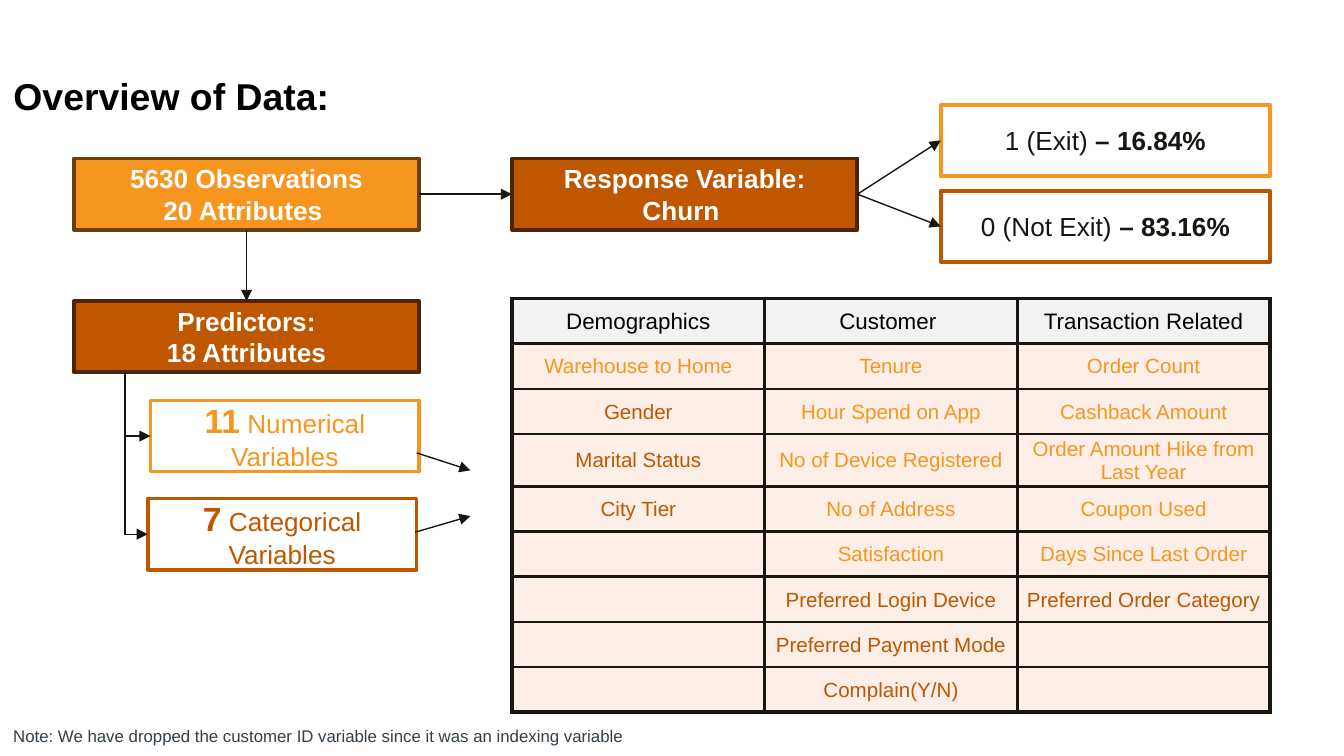
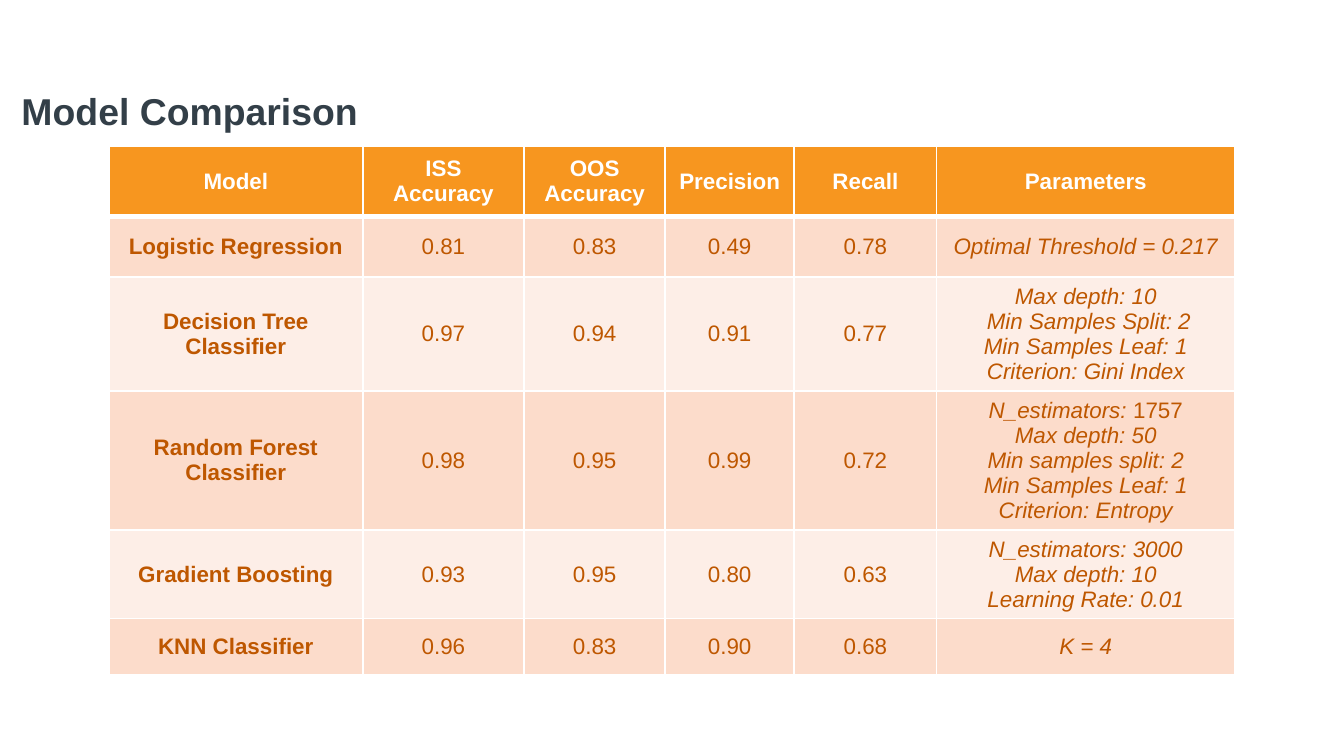
from lxml import etree
from pptx import Presentation
from pptx.dml.color import RGBColor
from pptx.enum.shapes import MSO_CONNECTOR, MSO_SHAPE
from pptx.enum.text import MSO_ANCHOR, MSO_AUTO_SIZE, PP_ALIGN
from pptx.oxml.ns import qn
from pptx.util import Inches, Pt

STRAIGHT, RECT = MSO_CONNECTOR.STRAIGHT, MSO_SHAPE.RECTANGLE
MIDDLE = MSO_ANCHOR.MIDDLE
NO_FIT = MSO_AUTO_SIZE.NONE
LEFT, CENTER = PP_ALIGN.LEFT, PP_ALIGN.CENTER
TOP_SIDE, LEFT_SIDE, BOTTOM_SIDE, RIGHT_SIDE = range(4)

BLACK = RGBColor(0x00, 0x00, 0x00)
WHITE = RGBColor(0xFF, 0xFF, 0xFF)
INK = RGBColor(0x18, 0x16, 0x10)
SLATE = RGBColor(0x33, 0x3F, 0x48)
ORANGE = RGBColor(0xF7, 0x96, 0x1F)
DARK_ORANGE = RGBColor(0x68, 0x3F, 0x0D)
RUST = RGBColor(0xBE, 0x57, 0x00)
DARK_RUST = RGBColor(0x50, 0x24, 0x00)
GREY = RGBColor(0xF2, 0xF2, 0xF2)
PEACH = RGBColor(0xFC, 0xDC, 0xCB)
PALE_PEACH = RGBColor(0xFD, 0xEE, 0xE7)

FONT = "Arial"
BOX_HEIGHT = 0.53

# header, numerical variables, categorical variables
VARIABLE_GROUPS = [
    ("Demographics", ["Warehouse to Home"],
     ["Gender", "Marital Status", "City Tier"]),
    ("Customer ",
     ["Tenure", "Hour Spend on App", "No of Device Registered",
      "No of Address", "Satisfaction"],
     ["Preferred Login Device", "Preferred Payment Mode", "Complain(Y/N)"]),
    ("Transaction Related",
     ["Order Count", "Cashback Amount", "Order Amount Hike from Last Year",
      "Coupon Used", "Days Since Last Order"],
     ["Preferred Order Category"]),
]

MODELS = [
    ("Model", "ISS Accuracy", "OOS Accuracy", "Precision", "Recall",
     "Parameters"),
    ("Logistic Regression", "0.81", "0.83", "0.49", "0.78",
     "Optimal Threshold = 0.217"),
    ("Decision Tree Classifier", "0.97", "0.94", "0.91", "0.77",
     "Max depth: 10\n Min Samples Split: 2\nMin Samples Leaf: 1\n"
     "Criterion: Gini Index"),
    ("Random Forest Classifier", "0.98", "0.95", "0.99", "0.72",
     "N_estimators: \nMax depth: 50\nMin samples split: 2\n"
     "Min Samples Leaf: 1\nCriterion: Entropy"),
    ("Gradient Boosting", "0.93", "0.95", "0.80", "0.63",
     "N_estimators: 3000\nMax depth: 10\nLearning Rate: 0.01"),
    ("KNN Classifier", "0.96", "0.83", "0.90", "0.68", "K = 4"),
]


def style_run(r, size, color, bold=False, italic=False):
    r.font.name = FONT
    r.font.size = Pt(size)
    r.font.color.rgb = color
    r.font.bold = bold
    r.font.italic = italic


def add_run(p, text, size, color, bold=False):
    r = p.add_run()
    r.text = text
    style_run(r, size, color, bold)


def write(tf, text, size, color, bold=False, italic=False, align=CENTER):
    tf.text = text
    for p in tf.paragraphs:
        p.alignment = align
        for r in p.runs:
            style_run(r, size, color, bold, italic)


class Deck:
    def __init__(self):
        self.prs = Presentation()
        self.prs.slide_width = Inches(10)
        self.prs.slide_height = Inches(10 * 9 / 16)
        self.slide = None

    def add_slide(self, title, left, top, width, height, color):
        self.slide = self.prs.slides.add_slide(self.prs.slide_layouts[5])
        sp = self.slide.shapes.title
        sp.left, sp.top = Inches(left), Inches(top)
        sp.width, sp.height = Inches(width), Inches(height)
        tf = sp.text_frame
        tf.auto_size = NO_FIT
        tf.vertical_anchor = MIDDLE
        write(tf, title, 20, color, bold=True, align=LEFT)

    def note(self, text, left, top, width, height):
        sp = self.slide.shapes.add_textbox(
            Inches(left), Inches(top), Inches(width), Inches(height))
        sp.text_frame.word_wrap = True
        write(sp.text_frame, text, 9, SLATE, align=LEFT)

    def box(self, text, left, top, width, fill, line, color=WHITE,
            size=14, bold=True):
        sp = self.slide.shapes.add_shape(
            RECT, Inches(left), Inches(top), Inches(width),
            Inches(BOX_HEIGHT))
        sp.shadow.inherit = False
        sp.fill.solid()
        sp.fill.fore_color.rgb = fill
        sp.line.color.rgb = line
        sp.line.width = Pt(2)
        sp.text_frame.word_wrap = True
        sp.text_frame.vertical_anchor = MIDDLE
        write(sp.text_frame, text, size, color, bold)
        return sp

    def connector(self, start, end, arrow=True):
        """Each end is an (x, y) point or a (shape, side) pair."""
        cxn = self.slide.shapes.add_connector(STRAIGHT, 0, 0, 0, 0)
        if isinstance(start[0], (int, float)):
            cxn.begin_x, cxn.begin_y = Inches(start[0]), Inches(start[1])
        else:
            cxn.begin_connect(*start)
        if isinstance(end[0], (int, float)):
            cxn.end_x, cxn.end_y = Inches(end[0]), Inches(end[1])
        else:
            cxn.end_connect(*end)
        cxn.line.color.rgb = INK
        cxn.line.width = Pt(0.75)
        if arrow:
            etree.SubElement(cxn.line._get_or_add_ln(), qn("a:tailEnd"),
                             type="triangle")
        etree.SubElement(cxn._element.spPr, qn("a:effectLst"))

    def table(self, left, top, widths, heights):
        tbl = self.slide.shapes.add_table(
            len(heights), len(widths), Inches(left), Inches(top),
            Inches(sum(widths)), Inches(sum(heights))).table
        tbl.horz_banding = False
        for col, width in zip(tbl.columns, widths):
            col.width = Inches(width)
        for row, height in zip(tbl.rows, heights):
            row.height = Inches(height)
        return tbl

    def cell(self, cell, text, fill, color, border, widths, size=12,
             bold=False, italic=False):
        """Border widths run left, right, top, bottom."""
        tcPr = cell._tc.get_or_add_tcPr()
        for side, width in zip("LRTB", widths):
            ln = etree.SubElement(tcPr, qn("a:ln" + side), w=str(Pt(width)))
            solid = etree.SubElement(ln, qn("a:solidFill"))
            etree.SubElement(solid, qn("a:srgbClr"), val=str(border))
        cell.fill.solid()
        cell.fill.fore_color.rgb = fill
        cell.vertical_anchor = MIDDLE
        write(cell.text_frame, text, size, color, bold, italic)


def variable_table(deck):
    tall_row = 0.39
    heights = [(3.08 - tall_row) / 8] * 9
    heights[3] = tall_row
    tbl = deck.table(3.81, 2.22, [1.88] * 3, heights)
    last_row, last_col = len(heights) - 1, len(VARIABLE_GROUPS) - 1
    for j, (header, numerical, categorical) in enumerate(VARIABLE_GROUPS):
        names = [header] + numerical + categorical
        names += [""] * (len(heights) - len(names))
        for i, name in enumerate(names):
            outer = (j == 0, j == last_col, i == 0, i == last_row)
            widths = [2.25 if edge else 1.5 for edge in outer]
            color = ORANGE if i <= len(numerical) else RUST
            cell = tbl.cell(i, j)
            cell.margin_left = cell.margin_right = Inches(0.01)
            cell.margin_top, cell.margin_bottom = Inches(0.01), 0
            if i == 0:
                deck.cell(cell, name, GREY, BLACK, INK, widths)
            else:
                deck.cell(cell, name, PALE_PEACH, color, INK, widths, 11)


def overview_slide(deck):
    deck.add_slide("Overview of Data:", 0, 0.49, 4.94, 0.44, BLACK)
    variable_table(deck)

    data = deck.box("5630 Observations\n20 Attributes ", 0.55, 1.18, 2.57,
                    ORANGE, DARK_ORANGE)
    response = deck.box("Response Variable: Churn ", 3.81, 1.18, 2.57,
                        RUST, DARK_RUST)
    predictors = deck.box("Predictors:\n18 Attributes", 0.55, 2.24, 2.57,
                          RUST, DARK_RUST)
    deck.connector((data, RIGHT_SIDE), (response, LEFT_SIDE))
    deck.connector((data, BOTTOM_SIDE), (predictors, TOP_SIDE))

    for label, share, top, line in (
            ("1 (Exit) ", "– 16.84%", 0.78, ORANGE),
            ("0 (Not Exit) ", "– 83.16%", 1.42, RUST)):
        outcome = deck.box(label, 7, top, 2.45, WHITE, line, INK, bold=False)
        add_run(outcome.text_frame.paragraphs[0], share, 14, INK, bold=True)
        deck.connector((response, RIGHT_SIDE), (outcome, LEFT_SIDE))

    trunk_x = 0.93
    deck.connector((trunk_x, 2.77), (trunk_x, 3.98), arrow=False)
    for count, kind, left, top, color, start, end in (
            ("11", "Numerical Variables", 1.12, 2.98, ORANGE,
             (3.1, 3.37), (3.5, 3.5)),
            ("7", "Categorical Variables", 1.1, 3.71, RUST,
             (3.09, 3.96), (3.5, 3.84))):
        sp = deck.box(count, left, top, 2, WHITE, color, color, size=18)
        add_run(sp.text_frame.paragraphs[0], " " + kind, 14, color)
        deck.connector((trunk_x, top + BOX_HEIGHT / 2), (sp, LEFT_SIDE))
        deck.connector(start, end)

    deck.note("Note: We have dropped the customer ID variable since it was "
              "an indexing variable", 0, 5.35, 6.33, 0.25)


def comparison_slide(deck):
    deck.add_slide("Model Comparison", 0.06, 0.35, 9, 0.94, SLATE)
    tbl = deck.table(0.81, 1.09, [1.89, 1.2, 1.05, 0.96, 1.06, 2.22],
                     [0.52, 0.45, 0.85, 1.03, 0.66, 0.42])
    last_col = len(MODELS[0]) - 1
    for i, row in enumerate(MODELS):
        for j, text in enumerate(row):
            if i == 0:
                fill, color = ORANGE, WHITE
            else:
                fill, color = (PEACH if i % 2 else PALE_PEACH), RUST
            widths = (1, 1, 3 if i == 1 else 1, 3 if i == 0 else 1)
            deck.cell(tbl.cell(i, j), text, fill, color, WHITE, widths,
                      bold=i == 0 or j == 0,
                      italic=i > 0 and j == last_col)
    forest = tbl.cell(3, last_col).text_frame.paragraphs[0]
    add_run(forest, "1757", 12, RUST)


def main():
    deck = Deck()
    overview_slide(deck)
    comparison_slide(deck)
    deck.prs.save("out.pptx")


if __name__ == "__main__":
    main()
